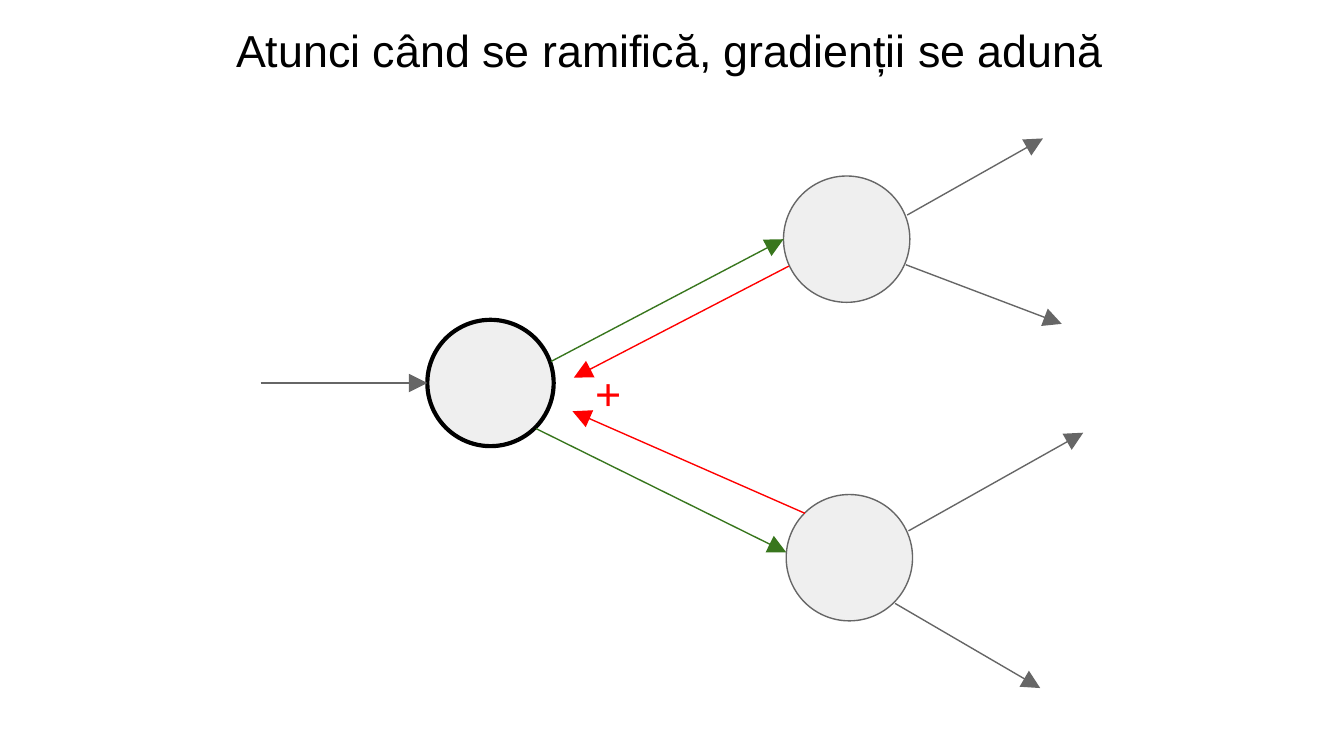
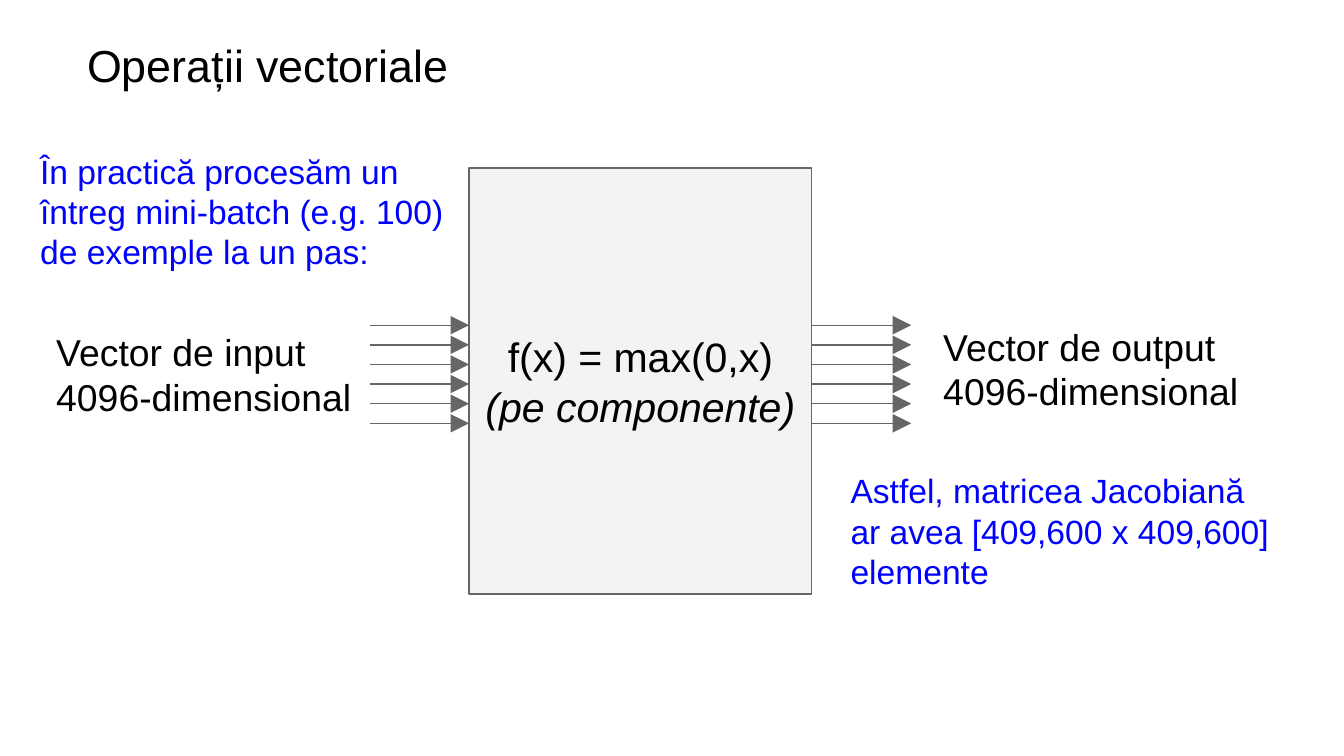
from dataclasses import dataclass

import pptx
import pptx.dml.color
import pptx.enum.shapes
import pptx.enum.text
import pptx.oxml.ns
import pptx.util
from lxml import etree

Inches = pptx.util.Inches
Align = pptx.enum.text.PP_ALIGN
Anchor = pptx.enum.text.MSO_ANCHOR
Preset = pptx.enum.shapes.MSO_SHAPE


@dataclass(frozen=True)
class Theme:
    font: str = "Arial"
    background: str = "FFFFFF"
    ink: str = "000000"
    outline: str = "666666"
    node_fill: str = "EFEFEF"
    block_fill: str = "F3F3F3"
    forward: str = "38761D"
    backward: str = "FF0000"
    note: str = "0000FF"
    title_size: int = 24
    formula_size: int = 22
    label_size: int = 20
    note_size: int = 18
    thin: float = 0.75
    thick: float = 2.25
    inset: float = 0.1


@dataclass(frozen=True)
class Box:
    left: float
    top: float
    width: float
    height: float

    def inner(self, left, top, width, height):
        return Box(self.left + left, self.top + top, width, height)

    def lengths(self):
        return [Inches(value) for value in (self.left, self.top, self.width, self.height)]


THEME = Theme()


def rgb(color):
    return pptx.dml.color.RGBColor.from_string(color)


def write(shape, lines, size, color=THEME.ink, align=Align.LEFT, anchor=Anchor.TOP, italic_lines=()):
    frame = shape.text_frame
    frame.word_wrap = True
    frame.vertical_anchor = anchor
    frame.margin_left = frame.margin_right = Inches(THEME.inset)
    frame.margin_top = frame.margin_bottom = Inches(THEME.inset)
    for index, line in enumerate(lines):
        paragraph = frame.add_paragraph() if index else frame.paragraphs[0]
        paragraph.alignment = align
        run = paragraph.add_run()
        run.text = line
        run.font.name = THEME.font
        run.font.size = pptx.util.Pt(size)
        run.font.color.rgb = rgb(color)
        if index in italic_lines:
            run.font.italic = True


def add_text(slide, box, lines, size, color=THEME.ink, align=Align.LEFT):
    write(slide.shapes.add_textbox(*box.lengths()), lines, size, color, align)


def add_block(slide, preset, box, fill, outline=THEME.outline, weight=THEME.thin):
    shape = slide.shapes.add_shape(preset, *box.lengths())
    shape.shadow.inherit = False
    shape.fill.solid()
    shape.fill.fore_color.rgb = rgb(fill)
    shape.line.color.rgb = rgb(outline)
    shape.line.width = pptx.util.Pt(weight)
    return shape


def add_arrow(slide, box, start, end, color=THEME.outline):
    points = [
        Inches(value)
        for x, y in (start, end)
        for value in (box.left + x, box.top + y)
    ]
    connector = slide.shapes.add_connector(pptx.enum.shapes.MSO_CONNECTOR.STRAIGHT, *points)
    connector.line.color.rgb = rgb(color)
    connector.line.width = pptx.util.Pt(THEME.thin)
    qn = pptx.oxml.ns.qn
    properties = connector.element.spPr
    etree.SubElement(properties.find(qn("a:ln")), qn("a:tailEnd"), type="triangle", w="lg", len="lg")
    etree.SubElement(properties, qn("a:effectLst"))


def add_slide(presentation, title, title_box, align=Align.LEFT):
    slide = presentation.slides.add_slide(presentation.slide_layouts[6])
    slide.background.fill.solid()
    slide.background.fill.fore_color.rgb = rgb(THEME.background)
    add_text(slide, title_box, [title], THEME.title_size, align=align)
    return slide


def draw_branching_graph(slide, box):
    diameter = 0.94
    nodes = [
        (1.24, 1.35, THEME.ink, THEME.thick),
        (3.89, 0.28, THEME.outline, THEME.thin),
        (3.91, 2.65, THEME.outline, THEME.thin),
    ]
    for left, top, outline, weight in nodes:
        circle = box.inner(left, top, diameter, diameter)
        add_block(slide, Preset.OVAL, circle, THEME.node_fill, outline, weight)

    arrows = {
        THEME.forward: [
            ((2.16, 1.66), (3.89, 0.75)),
            ((2.05, 2.16), (3.91, 3.08)),
        ],
        THEME.backward: [
            ((3.93, 0.95), (2.33, 1.78)),
            ((4.05, 2.79), (2.32, 2.03)),
        ],
        THEME.outline: [
            ((4.81, 0.57), (5.82, 0)),
            ((4.8, 0.94), (5.96, 1.38)),
            ((4.82, 2.92), (6.12, 2.19)),
            ((4.72, 3.46), (5.8, 4.09)),
            ((0, 1.82), (1.24, 1.82)),
        ],
    }
    for color, segments in arrows.items():
        for start, end in segments:
            add_arrow(slide, box, start, end, color)

    add_text(slide, box.inner(2.39, 1.59, 0.43, 0.45), ["+"], THEME.title_size, THEME.backward)


def draw_arrow_bundle(slide, box, count=6):
    for index in range(count):
        y = box.height * index / (count - 1)
        add_arrow(slide, box, (0, y), (box.width, y))


def draw_vector_function(slide, box):
    function_block = add_block(slide, Preset.RECTANGLE, box, THEME.block_fill)
    write(
        function_block,
        ["f(x) = max(0,x)", "(pe componente)"],
        THEME.formula_size,
        align=Align.CENTER,
        anchor=Anchor.MIDDLE,
        italic_lines=(1,),
    )
    bundle_width, bundle_top, bundle_height = 0.74, 1.17, 0.73
    for left in (-bundle_width, box.width):
        draw_arrow_bundle(slide, box.inner(left, bundle_top, bundle_width, bundle_height))

    dimension = "4096-dimensional"
    add_text(slide, box.inner(-3.17, 1.1, 2.56, 0.79), ["Vector de input", dimension], THEME.label_size)
    add_text(slide, box.inner(3.43, 1.06, 2.57, 0.87), ["Vector de output", dimension], THEME.label_size)
    notes = [
        (
            box.inner(-3.29, -0.23, 3.25, 1.15),
            ["În practică procesăm un întreg mini-batch (e.g. 100) de exemple la un pas:"],
        ),
        (
            box.inner(2.74, 2.15, 3.52, 1.13),
            ["Astfel, matricea Jacobiană", "ar avea [409,600 x 409,600] elemente"],
        ),
    ]
    for note_box, lines in notes:
        add_text(slide, note_box, lines, THEME.note_size, THEME.note)


def main():
    presentation = pptx.Presentation()
    presentation.slide_width = Inches(10)
    presentation.slide_height = Inches(10 * 9 / 16)

    gradients = add_slide(
        presentation,
        "Atunci când se ramifică, gradienții se adună",
        Box(0.42, 0.07, 9.12, 0.6),
        Align.CENTER,
    )
    draw_branching_graph(gradients, Box(1.94, 1.03, 6.12, 4.09))

    vectors = add_slide(presentation, "Operații vectoriale", Box(0.55, 0.18, 7.95, 0.61))
    draw_vector_function(vectors, Box(3.49, 1.25, 2.55, 3.17))

    presentation.save("out.pptx")


if __name__ == "__main__":
    main()
